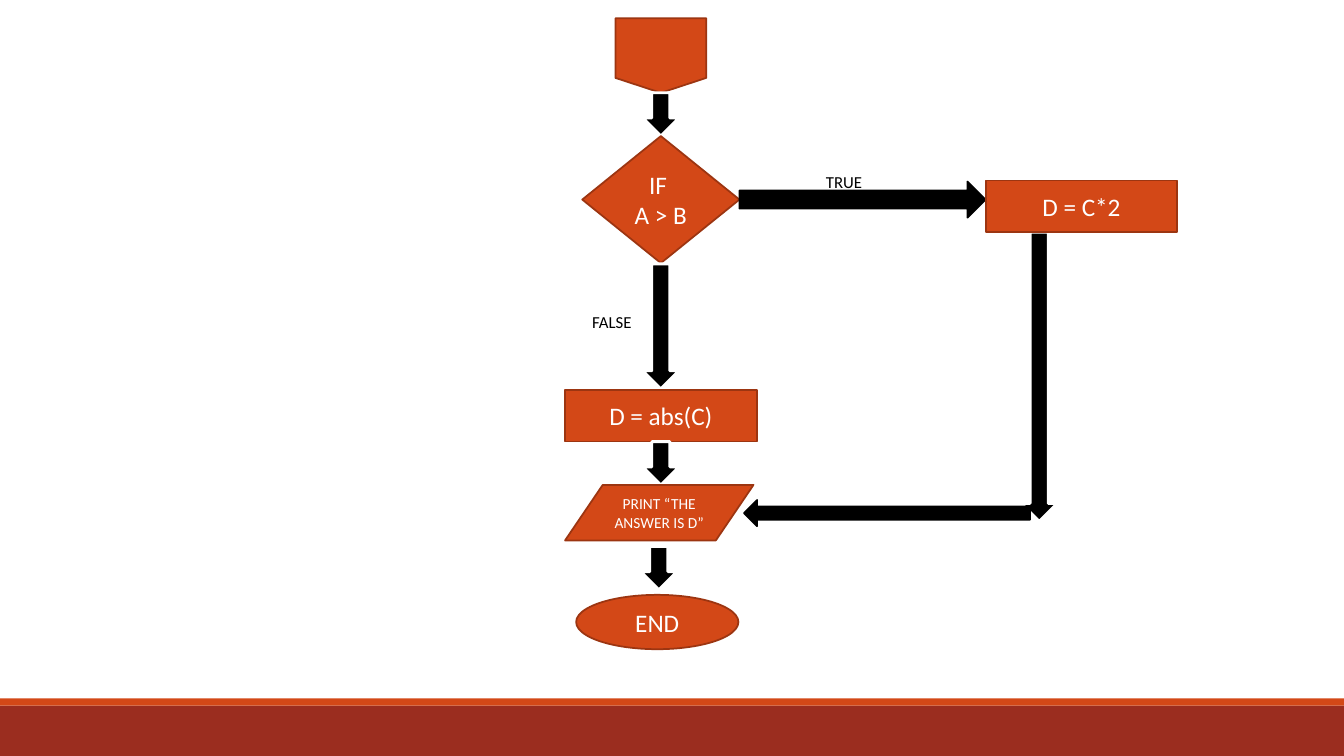
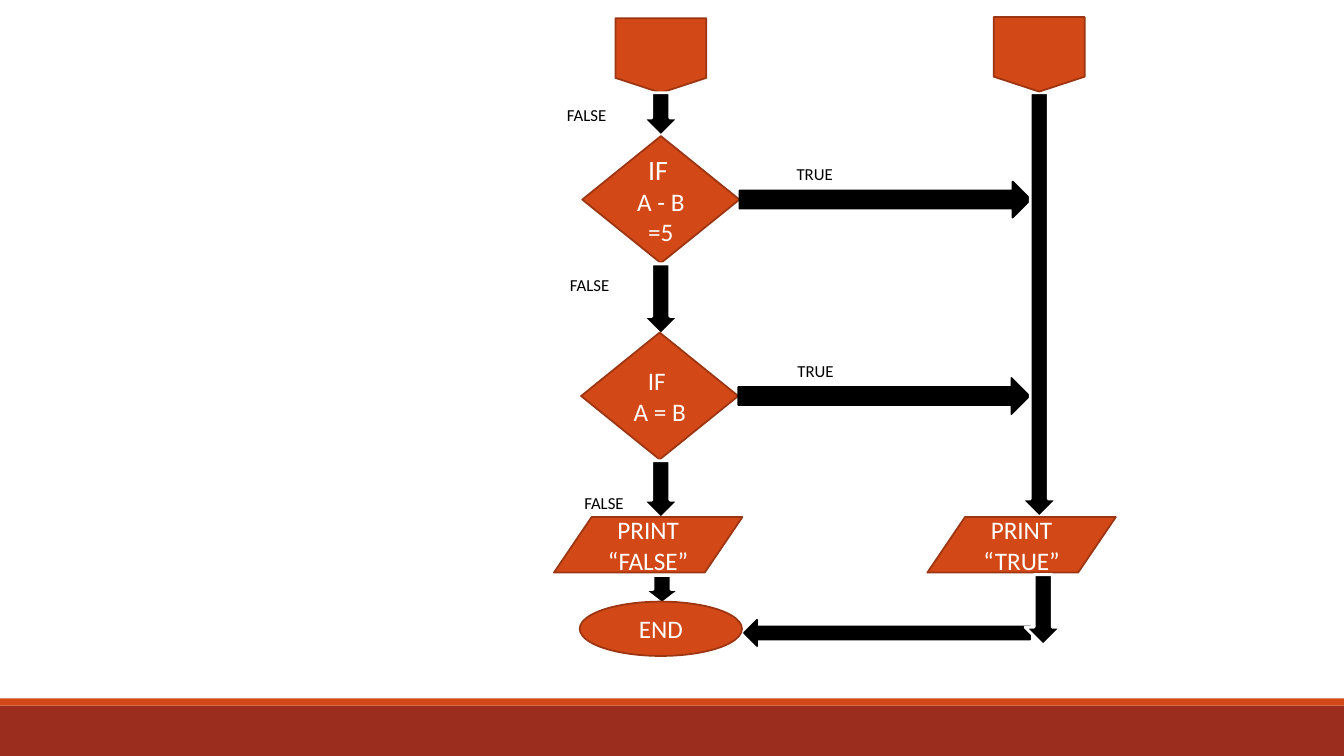
from collections import namedtuple

from pptx import Presentation
from pptx.dml.color import RGBColor
from pptx.enum.shapes import MSO_SHAPE
from pptx.enum.text import MSO_ANCHOR, PP_ALIGN
from pptx.util import Cm, Pt

COLORS = {
    "node": "D34817",
    "node_edge": "9C3511",
    "band": "9B2D1F",
    "flow": "000000",
    "paper": "FFFFFF",
}
FONT = "Calibri"
SLIDE_WIDTH, SLIDE_HEIGHT = 33.87, 19.05

Box = namedtuple("Box", "left top width height")

ENTRY = MSO_SHAPE.FLOWCHART_OFFPAGE_CONNECTOR
DECISION = MSO_SHAPE.FLOWCHART_DECISION
PROCESS = MSO_SHAPE.RECTANGLE
OUTPUT = MSO_SHAPE.FLOWCHART_DATA
TERMINAL = MSO_SHAPE.OVAL
NODE_SIZES = {
    ENTRY: (2.29, 1.88),
    DECISION: (3.96, 3.2),
    PROCESS: (4.83, 1.3),
    OUTPUT: (4.75, 1.4),
    TERMINAL: (4.09, 1.37),
}
ARROW_BREADTH = 0.91
RETURN_LENGTH, RETURN_BREADTH = 7.21, 0.66
LANE_OFFSET = 7.44


def color(name):
    return RGBColor.from_string(COLORS[name])


def filled(slide, kind, box, fill, edge=None, edge_width=1.25):
    shape = slide.shapes.add_shape(kind, *(Cm(length) for length in box))
    shape.shadow.inherit = False
    shape.fill.solid()
    shape.fill.fore_color.rgb = color(fill)
    if edge:
        shape.line.color.rgb = color(edge)
        shape.line.width = Pt(edge_width)
    else:
        shape.line.fill.background()
    return shape


def add_run(paragraph, text, size, ink):
    run = paragraph.add_run()
    run.text = text
    run.font.name = FONT
    run.font.size = Pt(size)
    run.font.color.rgb = color(ink)


def node(slide, kind, center, top, *lines):
    width, height = NODE_SIZES[kind]
    box = Box(center - width / 2, top, width, height)
    frame = filled(slide, kind, box, "node", "node_edge").text_frame
    frame.vertical_anchor = MSO_ANCHOR.MIDDLE
    for index, line in enumerate(lines):
        paragraph = frame.add_paragraph() if index else frame.paragraphs[0]
        paragraph.alignment = PP_ALIGN.CENTER
        for text, size in line:
            add_run(paragraph, text, size, "paper")


def down_arrow(slide, center, top, length):
    box = Box(center - ARROW_BREADTH / 2, top, ARROW_BREADTH, length)
    filled(slide, MSO_SHAPE.DOWN_ARROW, box, "flow", "paper", 2)


def return_arrow(slide, left, top):
    box = Box(left, top, RETURN_LENGTH, RETURN_BREADTH)
    filled(slide, MSO_SHAPE.LEFT_ARROW, box, "flow", "flow")


def label(slide, text, left, top):
    box = slide.shapes.add_textbox(Cm(left), Cm(top), Cm(1.5), Cm(0.77))
    box.text_frame.word_wrap = False
    add_run(box.text_frame.paragraphs[0], text, 12, "flow")


def decision(slide, center, top, exit_length, label_offset, *lines):
    width, height = NODE_SIZES[DECISION]
    node(slide, DECISION, center, top, *lines)
    exit_left = center + width / 2
    exit_top = top + (height - ARROW_BREADTH) / 2
    exit_box = Box(exit_left, exit_top, exit_length, ARROW_BREADTH)
    filled(slide, MSO_SHAPE.RIGHT_ARROW, exit_box, "flow", "flow")
    label(slide, "TRUE", exit_left + label_offset[0], exit_top + label_offset[1])


def entry_steps(slide, box):
    center = box.left + box.width / 2
    node(slide, ENTRY, center, box.top)
    down_arrow(slide, center, box.top + 1.88, 1.09)
    return center


def footer_bands(slide, box):
    stripe = 0.18
    filled(slide, MSO_SHAPE.RECTANGLE,
           Box(box.left, box.top + stripe, box.width, box.height - stripe), "band")
    filled(slide, MSO_SHAPE.RECTANGLE, Box(box.left, box.top, box.width, stripe), "node")


def greater_column(slide, box):
    center, top = entry_steps(slide, box), box.top
    decision(slide, center, top + 2.97, 6.2, (1.93, -0.38),
             [("IF ", 18)], [("A > B", 18)])
    down_arrow(slide, center, top + 6.19, 3.15)
    label(slide, "FALSE", center - 1.98, top + 7.26)
    node(slide, PROCESS, center, top + 9.37, [("D = abs(C)", 18)])
    down_arrow(slide, center, top + 10.67, 1.09)
    node(slide, OUTPUT, center - 0.04, top + 11.76, [("PRINT “THE ANSWER IS D”", 11)])
    down_arrow(slide, center - 0.05, top + 13.31, 1.09)
    node(slide, TERMINAL, center - 0.09, top + 14.53, [("END", 18)])


def doubling_lane(slide, box):
    width, height = NODE_SIZES[PROCESS]
    down_arrow(slide, box.left + LANE_OFFSET, box.top + height, 7.29)
    return_arrow(slide, box.left, box.top + box.height - RETURN_BREADTH)
    node(slide, PROCESS, box.left + box.width - width / 2, box.top, [("D = C*2", 18)])


def equality_column(slide, box):
    center, top = entry_steps(slide, box), box.top
    decision(slide, center, top + 2.97, 7.34, (1.19, -0.58),
             [("IF", 20), (" ", 18)], [("A - B =5", 18)])
    down_arrow(slide, center, top + 6.19, 1.78)
    decision(slide, center - 0.03, top + 7.92, 7.34, (1.24, -0.56),
             [("IF ", 18)], [("A = B", 18)])
    down_arrow(slide, center, top + 11.15, 1.45)
    node(slide, OUTPUT, center - 0.32, top + 12.57, [("PRINT “FALSE”", 18)])
    down_arrow(slide, center + 0.03, top + 14.04, 0.71)
    node(slide, TERMINAL, center, top + 14.7, [("END", 18)])
    for offset, drop in ((2.62, 2.05), (2.54, 6.35), (2.18, 11.83)):
        label(slide, "FALSE", center - offset, top + drop)


def true_lane(slide, box):
    center = box.left + LANE_OFFSET
    output_width = NODE_SIZES[OUTPUT][0]
    down_arrow(slide, center, box.top + 1.91, 10.69)
    node(slide, ENTRY, center, box.top)
    node(slide, OUTPUT, box.left + box.width - output_width / 2, box.top + 12.6,
         [("PRINT “TRUE”", 18)])
    return_arrow(slide, box.left, box.top + box.height - RETURN_BREADTH)
    down_arrow(slide, center + 0.1, box.top + 14.05, 1.78)


def flow_slide(deck, column, column_box, lane, lane_box):
    slide = deck.slides.add_slide(deck.slide_layouts[6])
    footer_bands(slide, Box(0, 17.6, SLIDE_WIDTH, SLIDE_HEIGHT - 17.6))
    column(slide, column_box)
    lane(slide, lane_box)


deck = Presentation()
deck.slide_width, deck.slide_height = Cm(SLIDE_WIDTH), Cm(SLIDE_HEIGHT)
main_box = Box(14.24, 0.46, 4.83, 16.07)
flow_slide(deck, greater_column, main_box, doubling_lane, Box(18.75, 4.55, 10.92, 8.71))
flow_slide(deck, equality_column, main_box, true_lane, Box(18.75, 0.43, 9.37, 15.85))
deck.save("out.pptx")
